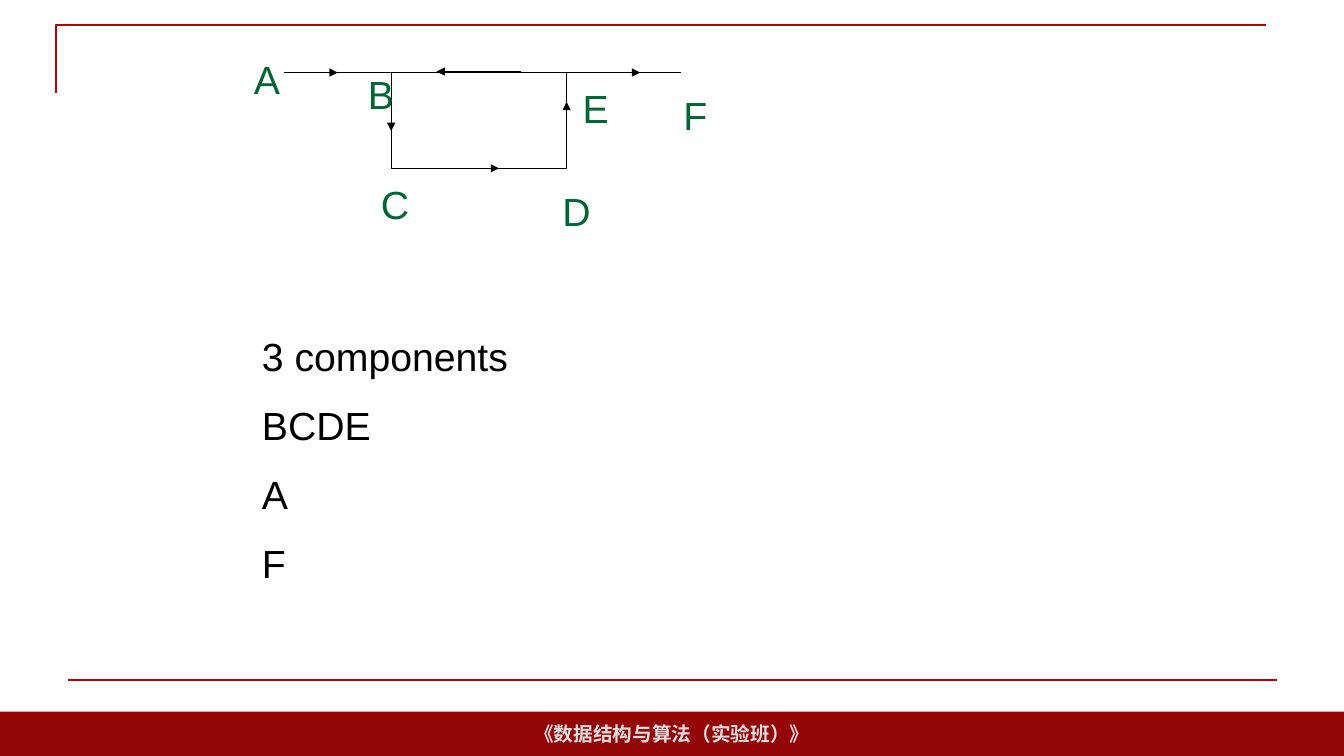
from lxml import etree
from pptx import Presentation
from pptx.dml.color import RGBColor
from pptx.enum.shapes import MSO_CONNECTOR as LINK, MSO_SHAPE as SHAPE
from pptx.enum.text import MSO_ANCHOR as ANCHOR, PP_ALIGN as ALIGN
from pptx.oxml.ns import qn
from pptx.util import Inches, Pt

RED = RGBColor(0xC0, 0x00, 0x00)
DARK = RGBColor(0x94, 0x07, 0x09)
GRAY = RGBColor(0xDD, 0xDD, 0xDD)
GREEN = RGBColor(0x00, 0x66, 0x33)
BLACK = RGBColor(0x00, 0x00, 0x00)

deck = Presentation()
deck.slide_width, deck.slide_height = Inches(13.33), Inches(7.5)
slide = deck.slides.add_slide(deck.slide_layouts[6])
shapes = slide.shapes


def add_line(x1, y1, x2, y2, color=BLACK, width=0.75, arrow=False):
    line = shapes.add_connector(LINK.STRAIGHT, *map(Inches, (x1, y1, x2, y2)))
    line.line.color.rgb = color
    line.line.width = Pt(width)
    if arrow:
        etree.SubElement(line.line._get_or_add_ln(), qn("a:tailEnd"), type="triangle")
    etree.SubElement(line._element.spPr, qn("a:effectLst"))


def add_text(box, rows, size, color, align=ALIGN.LEFT, bold=False):
    frame = box.text_frame
    frame.word_wrap = True
    for i, row in enumerate(rows):
        para = frame.paragraphs[0] if i == 0 else frame.add_paragraph()
        para.alignment = align
        if i:
            para.space_before = Pt(15.5)
        run = para.add_run()
        run.text = row
        font = run.font
        font.name, font.size, font.bold = "Arial", Pt(size), bold
        font.color.rgb = color


# Footer band
band = shapes.add_shape(SHAPE.RECTANGLE, 0, Inches(7.06), deck.slide_width, Inches(0.44))
band.shadow.inherit = False
band.fill.solid()
band.fill.fore_color.rgb = DARK
band.line.fill.background()
band.text_frame.vertical_anchor = ANCHOR.MIDDLE
add_text(band, ["《数据结构与算法（实验班）》"], 14, GRAY, ALIGN.CENTER, True)

# Red corner and rule
pen = shapes.build_freeform(Inches(0.56), Inches(0.92))
pen.add_line_segments([(Inches(0.56), Inches(0.25)), (Inches(12.56), Inches(0.25))], close=False)
corner = pen.convert_to_shape()
corner.shadow.inherit = False
corner.fill.background()
corner.line.color.rgb = RED
corner.line.width = Pt(1.5)
add_line(0.67, 6.75, 12.67, 6.75, RED, 1.5)

# Graph: cycle box with a way in and a way out
left, right, top, base = 3.88, 5.62, 0.72, 1.67
cycle = shapes.add_shape(SHAPE.RECTANGLE, *map(Inches, (left, top, right - left, base - top)))
cycle.shadow.inherit = False
cycle.fill.background()
cycle.line.color.rgb = BLACK
cycle.line.width = Pt(0.75)
add_line(2.82, top, left, top)
add_line(right, top, 6.75, top)

# Node names
nodes = {"A": (2.42, 0.5), "B": (3.55, 0.65), "C": (3.68, 1.74),
         "D": (5.48, 1.81), "E": (5.68, 0.79), "F": (6.68, 0.86)}
for name, (x, y) in nodes.items():
    box = shapes.add_textbox(Inches(x), Inches(y), Inches(0.4), Inches(0.57))
    add_text(box, [name], 28, GREEN)

# Edge directions
for ends in [(2.95, top, 3.35, top), (left, 1.01, left, 1.3), (4.15, base, 4.95, base),
             (right, 1.52, right, 1.01), (5.82, top, 6.35, top), (5.17, 0.71, 4.33, 0.71)]:
    add_line(*ends, arrow=True)

# Component list
parts = shapes.add_textbox(Inches(2.5), Inches(3.25), Inches(4.5), Inches(2.69))
add_text(parts, ["3 components", "BCDE", "A", "F"], 28, BLACK)

deck.save("out.pptx")
